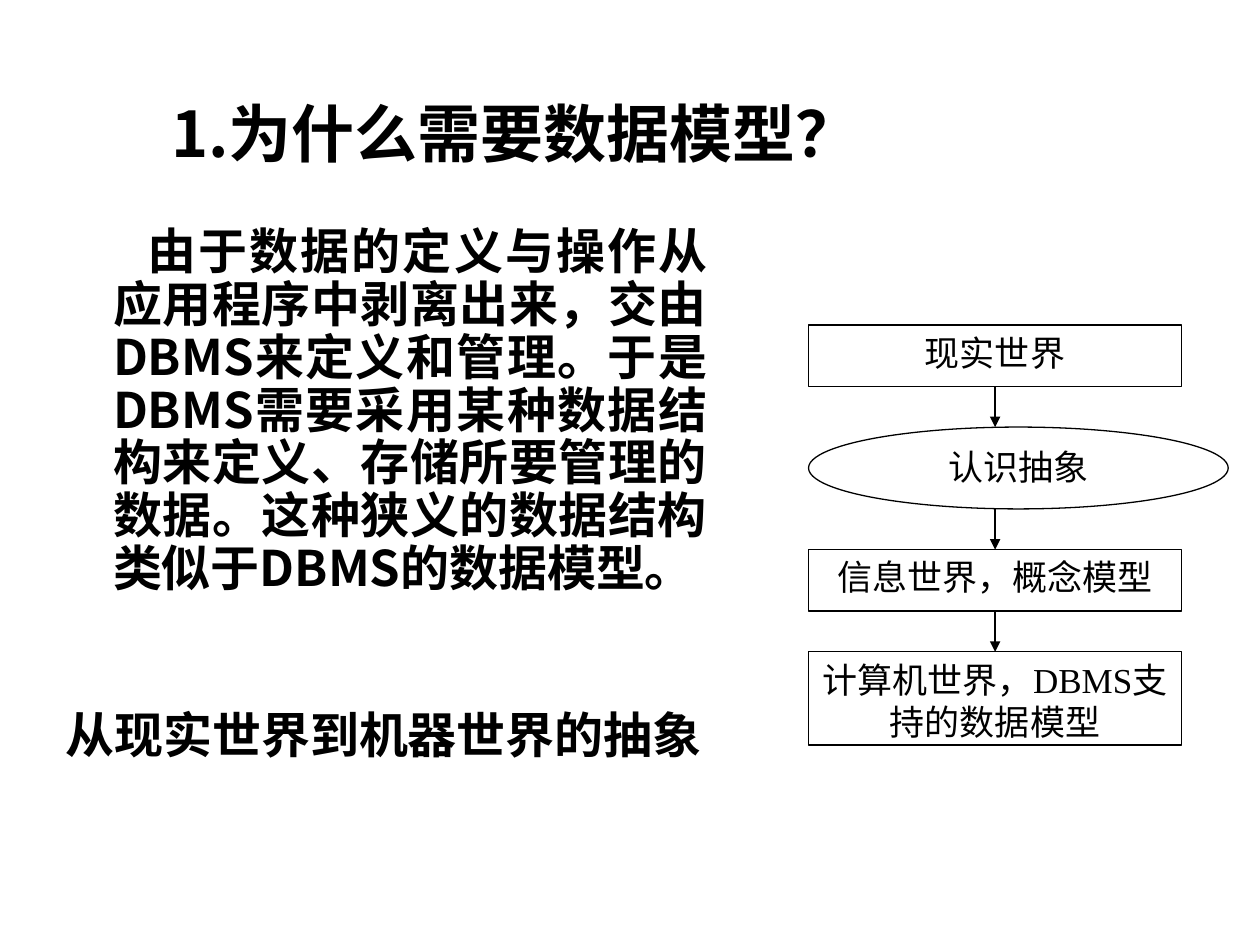
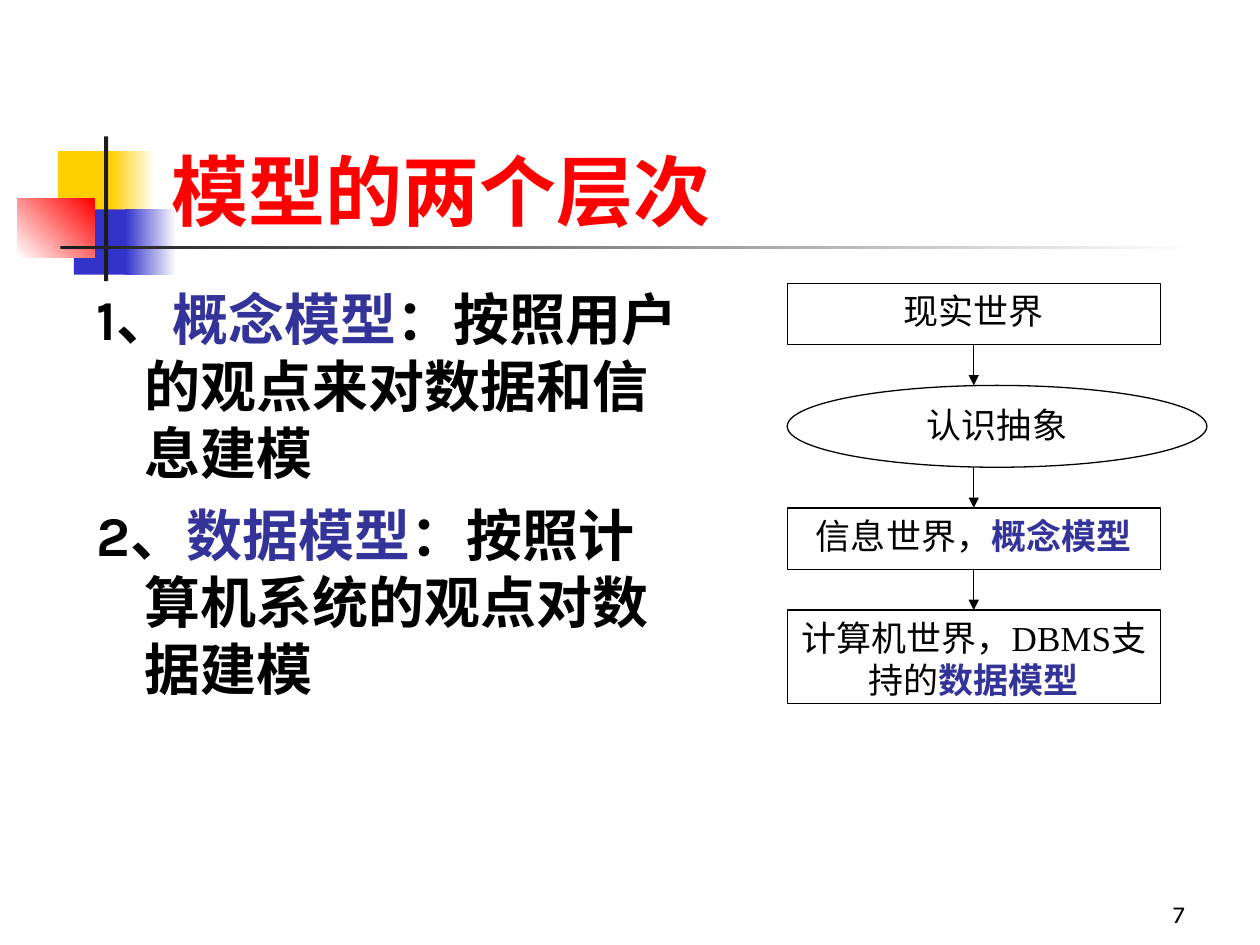
from lxml import etree
from pptx import Presentation
from pptx import util as u
from pptx.dml import color as c
from pptx.enum import shapes, text
from pptx.oxml import ns

BLACK, WHITE, INK = "000000", "FFFFFF", "1C1C1C"
RED, YELLOW, BLUE, TERM = "FF0000", "FFCF01", "3333CC", "333399"
SANS, ACCENT, SERIF = "Noto Sans CJK SC", "Karla", "Times New Roman"
EAST_ASIAN = "Noto Sans CJK SC"

STEP_WIDTH, OVAL_WIDTH, STEP_GAP = 7.52, 8.46, 0.82
STEP_HEIGHTS = 1.24, 1.65, 1.24, 1.88


def rgb(value):
    return c.RGBColor.from_string(value)


def lengths(*values):
    return [u.Cm(value) for value in values]


def assign(target, values):
    for name, value in values.items():
        setattr(target, name, value)


def add_child(parent, tag, **attributes):
    return etree.SubElement(parent, ns.qn(tag), attributes)


def write_spans(para, spans, font, size, bold=False):
    for words, color, strong in spans:
        span = para.add_run()
        span.text = words
        assign(span.font, {"name": font, "size": u.Pt(size), "bold": bold or strong})
        span.font.color.rgb = rgb(color)
        add_child(span.font._element, "a:ea", typeface=EAST_ASIAN)


def plain(words, color=BLACK):
    return words, color, False


def term(words):
    return words, TERM, True


def add_text(page, box, paragraphs, font, size, bold=False,
             anchor=text.MSO_ANCHOR.TOP, **para_format):
    frame = page.shapes.add_textbox(*lengths(*box)).text_frame
    assign(frame, {"word_wrap": True, "vertical_anchor": anchor})
    for index, spans in enumerate(paragraphs):
        para = frame.add_paragraph() if index else frame.paragraphs[0]
        assign(para, para_format)
        write_spans(para, spans, font, size, bold)
    return frame.paragraphs


def add_title(page, box, words, font, size, color):
    add_text(page, box, [[plain(words, color)]], font, size, True,
             text.MSO_ANCHOR.BOTTOM)


def indent(para, margin, first):
    para._p.get_or_add_pPr().set("marL", str(u.Cm(margin)))
    para._p.get_or_add_pPr().set("indent", str(u.Cm(first)))


def add_shape(page, kind, box):
    shape = page.shapes.add_shape(kind, *lengths(*box))
    shape.shadow.inherit = False
    return shape


def add_block(page, box, start, end=None, angle=0):
    block = add_shape(page, shapes.MSO_SHAPE.RECTANGLE, box)
    block.line.fill.background()
    if end is None:
        block.fill.solid()
        block.fill.fore_color.rgb = rgb(start)
        return
    block.fill.gradient()
    block.fill.gradient_angle = angle
    for stop, position, color in zip(block.fill.gradient_stops, (0, 1), (start, end)):
        stop.position = position
        stop.color.rgb = rgb(color)


def add_emblem(page, left, top):
    blocks = [
        (0.82, 0.3, 1.22, 1.32, YELLOW),
        (1.88, 0.3, 0.91, 1.32, YELLOW, WHITE),
        (1.14, 1.47, 1.17, 1.32, BLUE),
        (2.18, 1.47, 1.02, 1.32, BLUE, WHITE),
        (0, 1.26, 1.55, 1.18, WHITE, RED, 45),
        (1.75, 0, 0.08, 2.92, INK),
        (0.87, 2.2, 22.86, 0.08, INK, WHITE),
    ]
    for x, y, width, height, *paint in blocks:
        add_block(page, (left + x, top + y, width, height), *paint)


def add_step(page, kind, box, spans):
    step = add_shape(page, kind, box)
    step.fill.solid()
    step.fill.fore_color.rgb = rgb(WHITE)
    step.line.color.rgb = rgb(BLACK)
    step.line.width = u.Pt(0.75)
    frame = step.text_frame
    assign(frame, {"word_wrap": True, "vertical_anchor": text.MSO_ANCHOR.TOP})
    frame.paragraphs[0].alignment = text.PP_ALIGN.CENTER
    write_spans(frame.paragraphs[0], spans, SERIF, 20)


def add_arrow(page, x, top, bottom):
    arrow = page.shapes.add_connector(
        shapes.MSO_CONNECTOR.STRAIGHT, *lengths(x, top, x, bottom))
    arrow.line.color.rgb = rgb(BLACK)
    arrow.line.width = u.Pt(0.75)
    add_child(arrow.line._get_or_add_ln(), "a:tailEnd", type="triangle")
    add_child(arrow._element.spPr, "a:effectLst")


def add_abstraction_flow(page, left, top, emphasis):
    labels = [
        [plain("现实世界")],
        [plain("认识抽象")],
        [plain("信息世界，"), emphasis("概念模型")],
        [plain("计算机世界，DBMS支持的"), emphasis("数据模型")],
    ]
    for index, (spans, height) in enumerate(zip(labels, STEP_HEIGHTS)):
        oval = index == 1
        kind = shapes.MSO_SHAPE.OVAL if oval else shapes.MSO_SHAPE.RECTANGLE
        width = OVAL_WIDTH if oval else STEP_WIDTH
        if index:
            add_arrow(page, left + STEP_WIDTH / 2, top - STEP_GAP, top)
        add_step(page, kind, (left, top, width, height), spans)
        top += height + STEP_GAP


def build_reason_page(page):
    add_title(page, (3.2, 1.96, 21.46, 1.6), "1.为什么需要数据模型？", SANS, 36, BLACK)
    reason, caption = add_text(
        page, (1.07, 4.45, 13.44, 12.57),
        [[plain("由于数据的定义与操作从应用程序中剥离出来，交由DBMS来定义和管理。"
                "于是DBMS需要采用某种数据结构来定义、存储所要管理的数据。"
                "这种狭义的数据结构类似于DBMS的数据模型。")],
         [plain("从现实世界到机器世界的抽象")]],
        SANS, 28, True, alignment=text.PP_ALIGN.JUSTIFY, line_spacing=0.9)
    indent(reason, 0.96, 0.7)
    indent(caption, 0.96, -0.96)
    caption.space_before = u.Pt(65)
    add_abstraction_flow(page, 16.3, 6.55, plain)


def build_levels_page(page):
    add_emblem(page, 0.35, 2.75)
    add_text(page, (18.85, 17.58, 5.28, 1.27), [[plain("7")]], ACCENT, 14,
             anchor=text.MSO_ANCHOR.BOTTOM, alignment=text.PP_ALIGN.RIGHT)
    add_title(page, (3.2, 1.7, 21.64, 3.18), "模型的两个层次", ACCENT, 44, RED)
    levels = add_text(
        page, (1.7, 5.61, 12.27, 11.43),
        [[plain("1、"), term("概念模型"), plain("：按照用户的观点来对数据和信息建模")],
         [plain("2、"), term("数据模型"), plain("：按照计算机系统的观点对数据建模")]],
        ACCENT, 32, True)
    for level in levels:
        indent(level, 0.96, -0.96)
    levels[1].space_before = u.Pt(8)
    add_abstraction_flow(page, 15.87, 5.71, term)


def main():
    deck = Presentation()
    assign(deck, {"slide_width": u.Cm(25.4), "slide_height": u.Cm(19.05)})
    for build in (build_reason_page, build_levels_page):
        build(deck.slides.add_slide(deck.slide_layouts[6]))
    deck.save("out.pptx")


if __name__ == "__main__":
    main()
